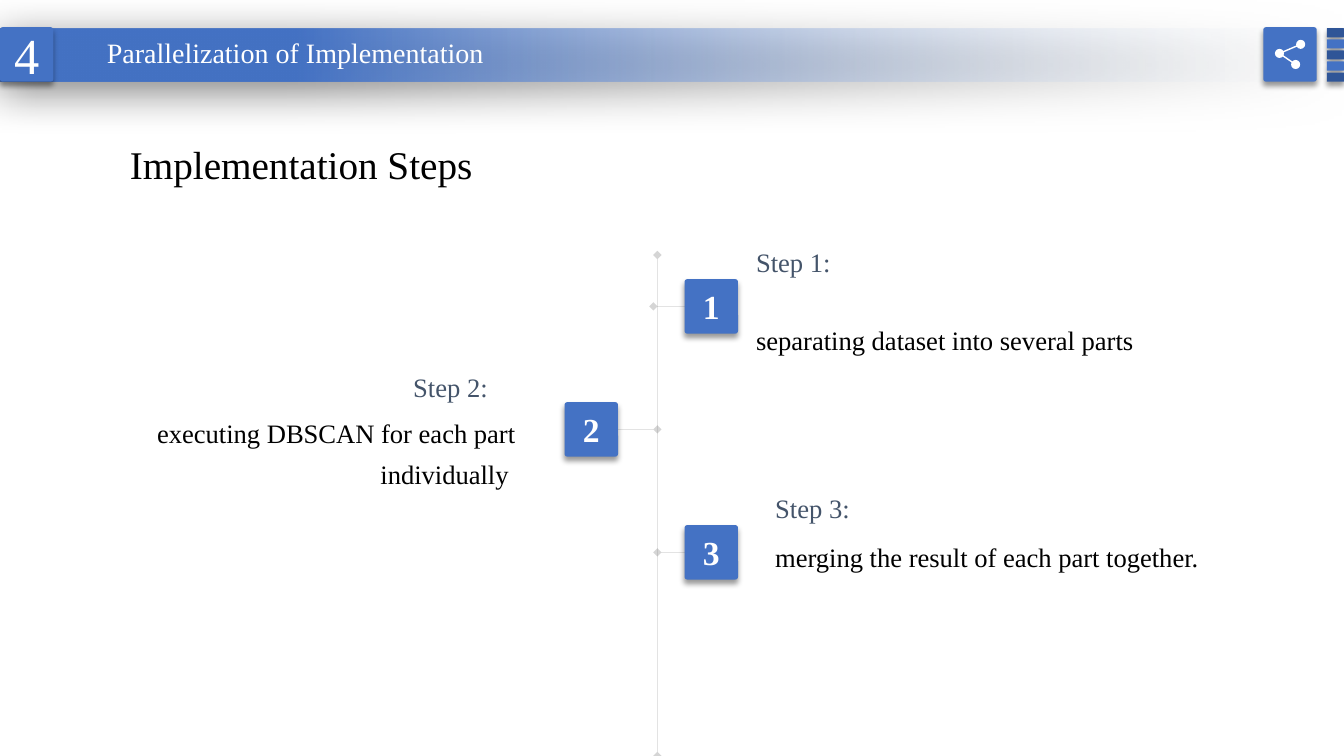
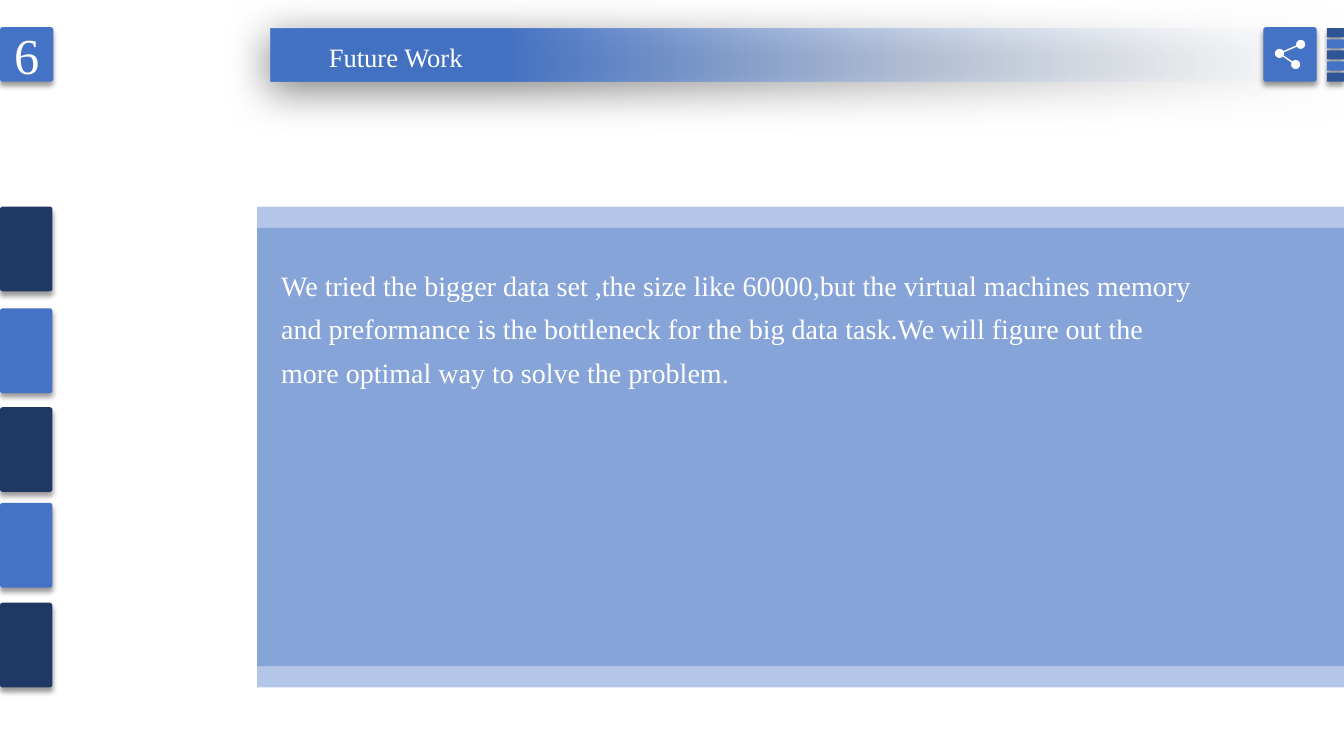
from dataclasses import dataclass

from lxml import etree
from pptx import Presentation
from pptx.dml.color import RGBColor
from pptx.enum import shapes, text
from pptx.oxml.ns import qn
from pptx.util import Inches, Pt

FONT = "Times New Roman"
WHITE = RGBColor(0xFF, 0xFF, 0xFF)
BLACK = RGBColor(0x00, 0x00, 0x00)
SLATE = RGBColor(0x44, 0x54, 0x6A)
GRAY = RGBColor(0x80, 0x80, 0x80)
PALE = RGBColor(0xF7, 0xFA, 0xFD)
BLUE = RGBColor(0x44, 0x72, 0xC4)
DARK_BLUE = RGBColor(0x2F, 0x55, 0x97)
NAVY = RGBColor(0x20, 0x38, 0x64)

SLIDE_W, SLIDE_H = 13.33, 7.5
TILE_W, TILE_H = 0.53, 0.54
HEADER_TOP = 0.27
SPINE_X = 6.52

LEFT, CENTER, RIGHT = text.PP_ALIGN.LEFT, text.PP_ALIGN.CENTER, text.PP_ALIGN.RIGHT
RECT, ROUND, OVAL = (shapes.MSO_SHAPE.RECTANGLE, shapes.MSO_SHAPE.ROUNDED_RECTANGLE,
                     shapes.MSO_SHAPE.OVAL)


@dataclass(frozen=True)
class Box:
    left: float
    top: float
    width: float
    height: float

    def emu(self) -> tuple:
        return tuple(Inches(v) for v in (self.left, self.top, self.width, self.height))


@dataclass(frozen=True)
class Shadow:
    opacity: int
    blur: float
    distance: float
    angle: int


@dataclass(frozen=True)
class Header:
    number: str
    title: str
    title_box: Box
    size: float
    band_left: float


@dataclass(frozen=True)
class Step:
    number: str
    tile_left: float
    joint_x: float
    label: Box
    body_text: str
    body: Box
    align: int = LEFT


TILE_SHADOW = Shadow(40, 4, 3, 90)
BAND_SHADOW = Shadow(50, 31, 6, 97)

STEPS = (
    Step("1", 6.79, 6.48, Box(7.4, 2.3, 1.02, 0.49),
         "separating dataset into several parts", Box(7.4, 3.07, 4.92, 0.49)),
    Step("2", 5.6, SPINE_X, Box(4, 3.54, 0.95, 0.49),
         "executing DBSCAN for each part individually ", Box(0.8, 3.99, 4.41, 0.91), RIGHT),
    Step("3", 6.79, SPINE_X, Box(7.59, 4.74, 0.95, 0.49),
         "merging the result of each part together.", Box(7.59, 5.22, 5.23, 0.49)),
)


def set_opacity(el, percent: int) -> None:
    for color in el.iter(qn("a:srgbClr")):
        etree.SubElement(color, qn("a:alpha"), val=str(percent * 1000))


def add_shadow(sp, shadow: Shadow) -> None:
    effects = sp.element.spPr.find(qn("a:effectLst"))
    outer = etree.SubElement(
        effects, qn("a:outerShdw"), blurRad=str(Pt(shadow.blur)),
        dist=str(Pt(shadow.distance)), dir=str(shadow.angle * 60000),
        algn="ctr", rotWithShape="0")
    etree.SubElement(outer, qn("a:srgbClr"), val=str(BLACK))
    set_opacity(outer, shadow.opacity)


def add_shape(slide, kind, box: Box, color: RGBColor):
    """Add a borderless, shadowless shape with a solid fill."""
    sp = slide.shapes.add_shape(kind, *box.emu())
    sp.fill.solid()
    sp.fill.fore_color.rgb = color
    sp.line.fill.background()
    sp.shadow.inherit = False
    return sp


def add_tile(slide, box: Box, color: RGBColor = BLUE):
    """Add a slightly rounded tile with a soft shadow below it."""
    sp = add_shape(slide, ROUND, box, color)
    sp.adjustments[0] = 0.05
    add_shadow(sp, TILE_SHADOW)
    return sp


def write(tf, content: str, *, size: float, color: RGBColor = BLACK, bold: bool = False,
          align=LEFT, spacing: float = 1.0, wrap: bool = True) -> None:
    tf.word_wrap = wrap
    p = tf.paragraphs[0]
    p.alignment = align
    p.line_spacing = spacing
    r = p.add_run()
    r.text = content
    r.font.name = FONT
    r.font.size = Pt(size)
    r.font.bold = bold
    r.font.color.rgb = color


def add_text(slide, box: Box, content: str, **style) -> None:
    write(slide.shapes.add_textbox(*box.emu()).text_frame, content, **style)


def add_line(slide, start: tuple[float, float], end: tuple[float, float],
             color: RGBColor, width: float):
    line = slide.shapes.add_connector(
        shapes.MSO_CONNECTOR.STRAIGHT, *(Inches(v) for v in (*start, *end)))
    line.line.color.rgb = color
    line.line.width = Pt(width)
    etree.SubElement(line.element.spPr, qn("a:effectLst"))
    return line


def add_timeline(slide, start: tuple[float, float], end: tuple[float, float]) -> None:
    """Add a faint line with a diamond at each end."""
    line = add_line(slide, start, end, GRAY, 0.25)
    ln = line.element.spPr.find(qn("a:ln"))
    set_opacity(ln, 33)
    for tag in ("a:headEnd", "a:tailEnd"):
        etree.SubElement(ln, qn(tag), type="diamond")


def add_band(slide, left: float) -> None:
    """Add the header band, fading out to the right."""
    sp = add_shape(slide, RECT, Box(left, 0.28, SLIDE_W - left, 0.53), BLUE)
    sp.fill.gradient()
    sp.fill.gradient_angle = 180
    for stop, color, position in zip(sp.fill.gradient_stops, (PALE, BLUE), (0, 0.78)):
        stop.color.rgb = color
        stop.position = position
    set_opacity(next(sp.element.iter(qn("a:gs"))), 0)
    add_shadow(sp, BAND_SHADOW)


def add_share_icon(slide) -> None:
    add_tile(slide, Box(12.53, HEADER_TOP, TILE_W, TILE_H))
    hub, *ends = (12.69, 0.53), (12.9, 0.44), (12.85, 0.64)
    for end in ends:
        add_line(slide, hub, end, WHITE, 1)
    d = 0.09
    for x, y in (hub, *ends):
        add_shape(slide, OVAL, Box(x - d / 2, y - d / 2, d, d), WHITE)


def add_header(slide, header: Header) -> None:
    add_band(slide, header.band_left)
    tile = add_tile(slide, Box(0, HEADER_TOP, TILE_W, TILE_H))
    write(tile.text_frame, header.number, size=36, color=WHITE, align=CENTER)
    add_text(slide, header.title_box, header.title, size=header.size, color=WHITE,
             align=CENTER, wrap=False)
    for i in range(5):
        add_tile(slide, Box(13.16, 0.28 + 0.11 * i, 0.17, 0.09),
                 BLUE if i % 2 else DARK_BLUE)
    add_share_icon(slide)


def add_step(slide, step: Step, top: float) -> None:
    middle = top + TILE_H / 2
    add_timeline(slide, (step.tile_left + TILE_W / 2, middle), (step.joint_x, middle))
    tile = add_tile(slide, Box(step.tile_left, top, TILE_W, TILE_H))
    write(tile.text_frame, step.number, size=24, color=WHITE, bold=True, align=CENTER)
    add_text(slide, step.label, f"Step {step.number}:", size=19, color=SLATE,
             spacing=1.3, wrap=False)
    add_text(slide, step.body, step.body_text, size=19, align=step.align, spacing=1.3)


def build_steps(slide) -> None:
    add_header(slide, Header("4", "Parallelization of Implementation",
                             Box(0.95, 0.3, 3.96, 0.44), 20, 0))
    add_text(slide, Box(1.19, 1.34, 4.41, 0.57), "Implementation Steps", size=28)
    add_timeline(slide, (SPINE_X, 2.53), (SPINE_X, SLIDE_H))
    for i, step in enumerate(STEPS):
        add_step(slide, step, 2.77 + 1.22 * i)


def build_future_work(slide) -> None:
    add_header(slide, Header("6", "Future Work", Box(3.15, 0.36, 1.55, 0.42), 19, 2.68))
    for top in (2.26, 2.05):
        panel = add_shape(slide, RECT, Box(2.55, top, SLIDE_W - 2.55, 4.56), BLUE)
        set_opacity(panel.element.spPr, 40)
    for i, top in enumerate((2.05, 3.06, 4.04, 4.99, 5.98)):
        add_tile(slide, Box(0, top, 0.52, 0.84), BLUE if i % 2 else NAVY)
    add_text(slide, Box(2.69, 2.51, 9.25, 1.75),
             "We tried the bigger data set ,the size like 60000,but the virtual machines "
             "memory and preformance is the bottleneck for the big data task.We will "
             "figure out the more optimal way to solve the problem.",
             size=20, color=WHITE, spacing=1.3)


def main() -> None:
    prs = Presentation()
    prs.slide_width, prs.slide_height = Inches(SLIDE_W), Inches(SLIDE_H)
    for build in (build_steps, build_future_work):
        build(prs.slides.add_slide(prs.slide_layouts[6]))
    prs.save("out.pptx")


if __name__ == "__main__":
    main()
